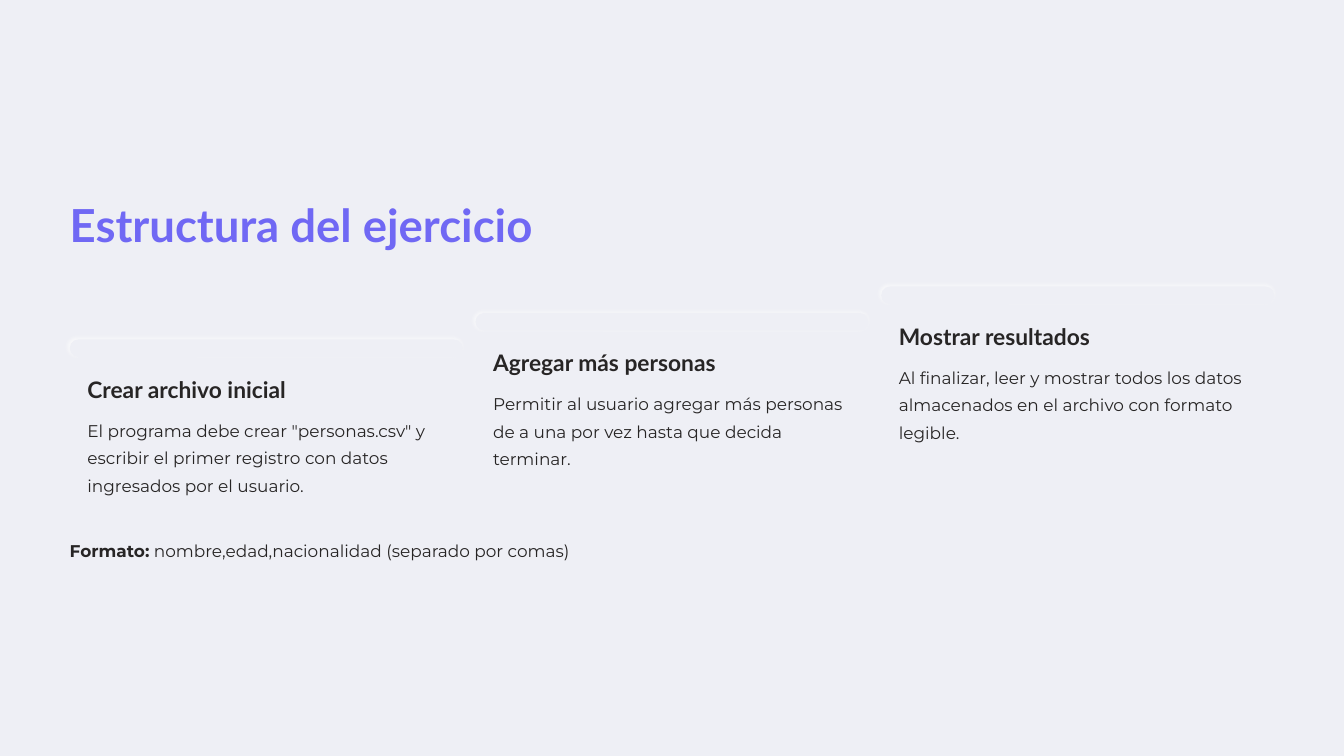
from dataclasses import dataclass

from lxml.etree import SubElement
from pptx import Presentation
from pptx.dml.color import RGBColor
from pptx.enum.shapes import MSO_SHAPE
from pptx.enum.text import MSO_ANCHOR, MSO_AUTO_SIZE, PP_ALIGN
from pptx.oxml.ns import qn
from pptx.util import Inches, Pt


@dataclass(frozen=True)
class TextStyle:
    font: str
    size: float
    line: float
    color: str
    bold: bool = False


@dataclass(frozen=True)
class Theme:
    background: str = "EEEFF5"
    highlight: str = "FFFFFF"
    title: TextStyle = TextStyle("Lato", 39, 49, "7068F4", True)
    heading: TextStyle = TextStyle("Lato", 19.5, 24.5, "272525", True)
    body: TextStyle = TextStyle("Montserrat", 14.5, 23.5, "272525")


THEME = Theme()

MARGIN = 0.83
CONTENT_WIDTH = 14.34
CARD_WIDTH = 4.68
CARD_STEP = 4.83
FIRST_CARD_TOP = 4.04
CARD_RISE = 0.315
CARD_PADDING = 0.21

STEPS = [
    ("Crear archivo inicial",
     'El programa debe crear "personas.csv" y escribir el primer registro '
     "con datos ingresados por el usuario."),
    ("Agregar más personas",
     "Permitir al usuario agregar más personas de a una por vez hasta que "
     "decida terminar."),
    ("Mostrar resultados",
     "Al finalizar, leer y mostrar todos los datos almacenados en el archivo "
     "con formato legible."),
]


def write_text(shape, spans, style, wrap=False):
    """Fill a shape with one paragraph; spans are (text, bold) pairs."""
    frame = shape.text_frame
    frame.margin_left = frame.margin_right = 0
    frame.margin_top = frame.margin_bottom = 0
    frame.word_wrap = wrap
    frame.auto_size = MSO_AUTO_SIZE.NONE
    frame.vertical_anchor = MSO_ANCHOR.TOP
    para = frame.paragraphs[0]
    para.alignment = PP_ALIGN.LEFT
    para.line_spacing = Pt(style.line)
    para.font.name = style.font
    para.font.size = Pt(style.size)
    para.font.color.rgb = RGBColor.from_string(style.color)
    para.font.bold = style.bold
    for text, bold in spans:
        span = para.add_run()
        span.text = text
        if bold != style.bold:
            span.font.bold = bold


def add_text(page, left, top, width, height, spans, style, wrap=False):
    box = page.shapes.add_textbox(
        Inches(left), Inches(top), Inches(width), Inches(height))
    write_text(box, spans, style, wrap)


def add_highlight(shape):
    """Give the shape a soft light edge at its upper left."""
    shape.shadow.inherit = False
    effects = shape._element.spPr.find(qn("a:effectLst"))
    shadow = SubElement(
        effects, qn("a:outerShdw"), blurRad=str(Pt(3.7)), dist=str(Pt(1.8)),
        dir=str(225 * 60000), algn="ctr", rotWithShape="0")
    color = SubElement(shadow, qn("a:srgbClr"), val=THEME.highlight)
    SubElement(color, qn("a:alpha"), val="70000")


def add_title(page, left, top, width, height):
    title = page.shapes.title
    title.left, title.top = Inches(left), Inches(top)
    title.width, title.height = Inches(width), Inches(height)
    write_text(title, [("Estructura del ejercicio", True)], THEME.title)


def add_step_card(page, left, top, width, heading, description):
    # Raised bar
    bar = page.shapes.add_shape(
        MSO_SHAPE.ROUNDED_RECTANGLE,
        Inches(left), Inches(top), Inches(width), Inches(0.21))
    bar.adjustments[0] = 0.9
    bar.fill.solid()
    bar.fill.fore_color.rgb = RGBColor.from_string(THEME.background)
    bar.line.fill.background()
    add_highlight(bar)

    # Heading and description
    text_left = left + CARD_PADDING
    add_text(page, text_left, top + 0.415, 2.73, 0.34,
             [(heading, True)], THEME.heading)
    add_text(page, text_left, top + 0.88, width - 2 * CARD_PADDING, 0.99,
             [(description, False)], THEME.body, wrap=True)


def add_steps(page, left, top):
    for index, (heading, description) in enumerate(STEPS):
        add_step_card(page, left + index * CARD_STEP, top - index * CARD_RISE,
                      CARD_WIDTH, heading, description)


def add_format_note(page, left, top, width, height):
    add_text(page, left, top, width, height,
             [("Formato:", True),
              (" nombre,edad,nacionalidad (separado por comas)", False)],
             THEME.body)


def main():
    deck = Presentation()
    deck.slide_width, deck.slide_height = Inches(16), Inches(9)
    page = deck.slides.add_slide(deck.slide_layouts.get_by_name("Title Only"))
    page.background.fill.solid()
    page.background.fill.fore_color.rgb = RGBColor.from_string(THEME.background)

    add_title(page, MARGIN, 2.32, 5.66, 0.68)
    add_steps(page, MARGIN, FIRST_CARD_TOP)
    add_format_note(page, MARGIN, 6.35, CONTENT_WIDTH, 0.33)
    deck.save("out.pptx")


if __name__ == "__main__":
    main()
